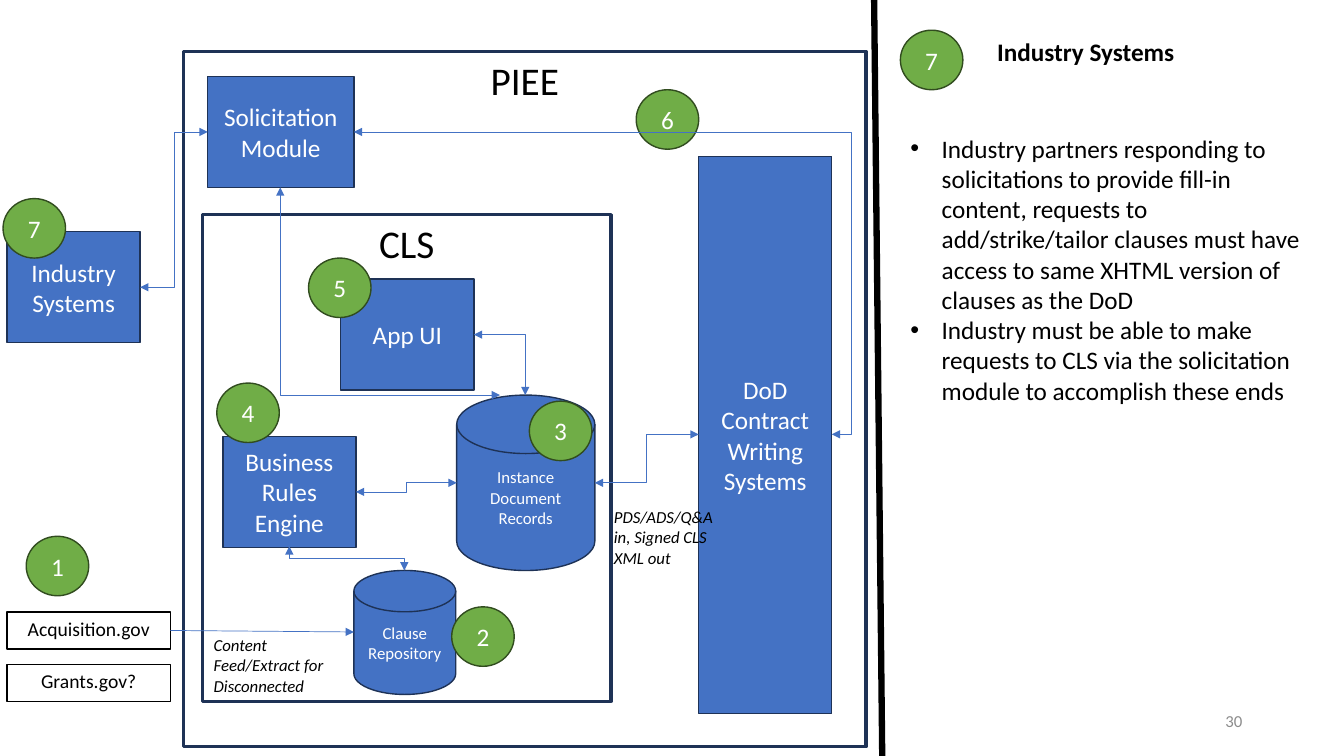
from lxml import etree
from pptx import Presentation
from pptx.dml.color import RGBColor
from pptx.enum.shapes import MSO_CONNECTOR, MSO_SHAPE
from pptx.enum.text import MSO_ANCHOR, MSO_AUTO_SIZE, PP_ALIGN
from pptx.oxml.ns import qn
from pptx.util import Inches, Pt

RECTANGLE, OVAL = MSO_SHAPE.RECTANGLE, MSO_SHAPE.OVAL
DISK = MSO_SHAPE.FLOWCHART_MAGNETIC_DISK
STRAIGHT, ELBOW = MSO_CONNECTOR.STRAIGHT, MSO_CONNECTOR.ELBOW
LEFT, CENTER, RIGHT = PP_ALIGN.LEFT, PP_ALIGN.CENTER, PP_ALIGN.RIGHT
TOP, MIDDLE = MSO_ANCHOR.TOP, MSO_ANCHOR.MIDDLE
NO_AUTO_SIZE = MSO_AUTO_SIZE.NONE

FONT = "Calibri"
BLACK, WHITE, GRAY = "000000", "FFFFFF", "8C8C8C"
BLUE, NAVY = "4472C4", "1E3256"
GREEN, DARK_GREEN = "70AD47", "314C1F"
BULLET_INDENT = Inches(0.31)

FRAMES = [("PIEE", (1.82, 0.51, 6.77, 6.9)), ("CLS", (2.01, 2.13, 4.05, 4.83))]
BLOCKS = [
    ("Solicitation Module", (2.06, 0.76, 1.45, 1.1)),
    ("Industry Systems", (0.07, 2.3, 1.32, 1.1)),
    ("App UI", (3.38, 2.77, 1.32, 1.1)),
    ("Business Rules Engine", (2.21, 4.33, 1.32, 1.1)),
    ("DoD Contract Writing Systems", (6.93, 1.55, 1.32, 5.53)),
]
REPOSITORIES = [
    ("Clause Repository", (3.51, 5.66, 1.01, 1.23)),
    ("Instance Document Records", (4.53, 3.92, 1.37, 1.74)),
]
BADGES = [
    (1, 0.26, 5.32), (2, 4.48, 6.02), (3, 5.25, 3.98), (4, 2.15, 3.8),
    (5, 3.06, 2.56), (6, 6.31, 0.89), (7, 0.03, 1.97), (7, 8.93, 0.3),
]
NOTES = [
    ("Content Feed/Extract for Disconnected", (2.02, 6.25, 1.49, 0.71)),
    ("PDS/ADS/Q&A in, Signed CLS XML out", (5.99, 4.98, 1.19, 0.71)),
]
REQUIREMENTS = [
    "Industry partners responding to solicitations to provide fill-in content, "
    "requests to add/strike/tailor clauses must have access to same XHTML "
    "version of clauses as the DoD",
    "Industry must be able to make requests to CLS via the solicitation module "
    "to accomplish these ends",
]
FLOWS = [
    ((1.39, 2.85), (2.06, 1.31), {}),
    ((3.53, 4.88), (4.53, 4.79), {}),
    ((6.93, 4.31), (5.9, 4.79), {}),
    ((8.25, 4.31), (3.51, 1.31), {"bend": -4100}),
    ((4.7, 3.32), (5.21, 3.92), {"corner": True}),
    ((4.96, 3.92), (2.78, 1.86), {"corner": True}),
    ((4.01, 5.66), (2.87, 5.42), {"upright": True}),
]


def color(value):
    """Turn a hex string into a colour."""
    return RGBColor.from_string(value)


def place(shape, box):
    """Move a shape to left, top, width and height in inches."""
    shape.left, shape.top, shape.width, shape.height = map(Inches, box)


def write(shape, *texts, size=18, text_color=BLACK, bold=False, italic=False,
          align=LEFT, anchor=TOP, bullets=False):
    """Fill a shape with one formatted paragraph per text."""
    frame = shape.text_frame
    frame.word_wrap = True
    frame.auto_size = NO_AUTO_SIZE
    frame.vertical_anchor = anchor
    for index, text in enumerate(texts):
        paragraph = frame.add_paragraph() if index else frame.paragraphs[0]
        paragraph.text = text
        paragraph.alignment = align
        paragraph.space_before = Pt(0)
        if bullets:
            properties = paragraph._p.get_or_add_pPr()
            properties.set("marL", str(BULLET_INDENT))
            properties.set("indent", str(-BULLET_INDENT))
            etree.SubElement(properties, qn("a:buFont")).set("typeface", "Arial")
            etree.SubElement(properties, qn("a:buChar")).set("char", "•")
        font = paragraph.runs[0].font
        font.name, font.size = FONT, Pt(size)
        font.bold, font.italic = bold, italic
        font.color.rgb = color(text_color)


def add_box(slide, kind, text, box, fill=None, line=NAVY, line_width=1, **text_format):
    """Add an outlined preset shape with centred text."""
    shape = slide.shapes.add_shape(kind, *map(Inches, box))
    shape.shadow.inherit = False
    if fill:
        shape.fill.solid()
        shape.fill.fore_color.rgb = color(fill)
    else:
        shape.fill.background()
    shape.line.color.rgb = color(line)
    shape.line.width = Pt(line_width)
    write(shape, text, align=CENTER, **text_format)
    return shape


def add_label(slide, text, box, **text_format):
    """Add a text box."""
    write(slide.shapes.add_textbox(*map(Inches, box)), text, **text_format)


def add_line(slide, kind, begin, end, line=BLUE, width=0.5, arrows=()):
    """Add a connector with arrowheads at the named ends."""
    connector = slide.shapes.add_connector(kind, *map(Inches, begin + end))
    connector.line.color.rgb = color(line)
    connector.line.width = Pt(width)
    for arrow in arrows:
        etree.SubElement(connector.line._get_or_add_ln(), qn(arrow)).set("type", "triangle")
    etree.SubElement(connector._element.spPr, qn("a:effectLst"))
    return connector


def add_flow(slide, begin, end, bend=50000, corner=False, upright=False):
    """Add a two-way elbow; upright ones leave and arrive vertically."""
    if upright:
        middle_x, middle_y = (begin[0] + end[0]) / 2, (begin[1] + end[1]) / 2
        half_x, half_y = (begin[1] - end[1]) / 2, (end[0] - begin[0]) / 2
        begin = (middle_x - half_x, middle_y - half_y)
        end = (middle_x + half_x, middle_y + half_y)
    connector = add_line(slide, ELBOW, begin, end, arrows=("a:headEnd", "a:tailEnd"))
    properties = connector._element.spPr
    if upright:
        properties.find(qn("a:xfrm")).set("rot", str(270 * 60000))
    geometry = properties.find(qn("a:prstGeom"))
    if corner:
        geometry.set("prst", "bentConnector2")
    else:
        guide = etree.SubElement(geometry.find(qn("a:avLst")), qn("a:gd"))
        guide.set("name", "adj1")
        guide.set("fmla", f"val {bend}")


def add_diagram(slide):
    """Draw the systems, their numbers and the flows between them."""
    for text, box in FRAMES:
        add_box(slide, RECTANGLE, text, box, line_width=2.25, size=28)
    for text, box in BLOCKS:
        add_box(slide, RECTANGLE, text, box, fill=BLUE, text_color=WHITE, anchor=MIDDLE)
    for text, box in REPOSITORIES:
        add_box(slide, DISK, text, box, fill=BLUE, text_color=WHITE, size=12, anchor=MIDDLE)
    acquisition, _ = [
        add_box(slide, RECTANGLE, text, (0.07, top, 1.62, 0.37), line=BLACK, size=14)
        for text, top in (("Acquisition.gov", 6.07), ("Grants.gov?", 6.59))
    ]
    for number, left, top in BADGES:
        add_box(slide, OVAL, str(number), (left, top, 0.62, 0.59), fill=GREEN,
                line=DARK_GREEN, text_color=WHITE, anchor=MIDDLE)
    for text, box in NOTES:
        add_label(slide, text, box, size=12, italic=True)
    feed = add_line(slide, STRAIGHT, (1.69, 6.25), (3.51, 6.27), arrows=("a:tailEnd",))
    feed.begin_connect(acquisition, 3)
    for begin, end, route in FLOWS:
        add_flow(slide, begin, end, **route)


def main():
    """Build and save the slide."""
    presentation = Presentation()
    presentation.slide_width, presentation.slide_height = Inches(13.33), Inches(7.5)
    slide = presentation.slides.add_slide(presentation.slide_layouts[1])
    title, body = slide.placeholders
    place(title, (9.79, 0.31, 2.98, 0.4))
    write(title, "Industry Systems", bold=True)
    place(body, (8.93, 1.27, 4.26, 3.43))
    write(body, *REQUIREMENTS, bullets=True)
    add_line(slide, STRAIGHT, (8.67, 0), (8.75, 7.5), line=BLACK, width=4.5)
    add_diagram(slide)
    add_label(slide, "30", (9.42, 6.95, 3, 0.4), size=12, text_color=GRAY,
              align=RIGHT, anchor=MIDDLE)
    presentation.save("out.pptx")


if __name__ == "__main__":
    main()
